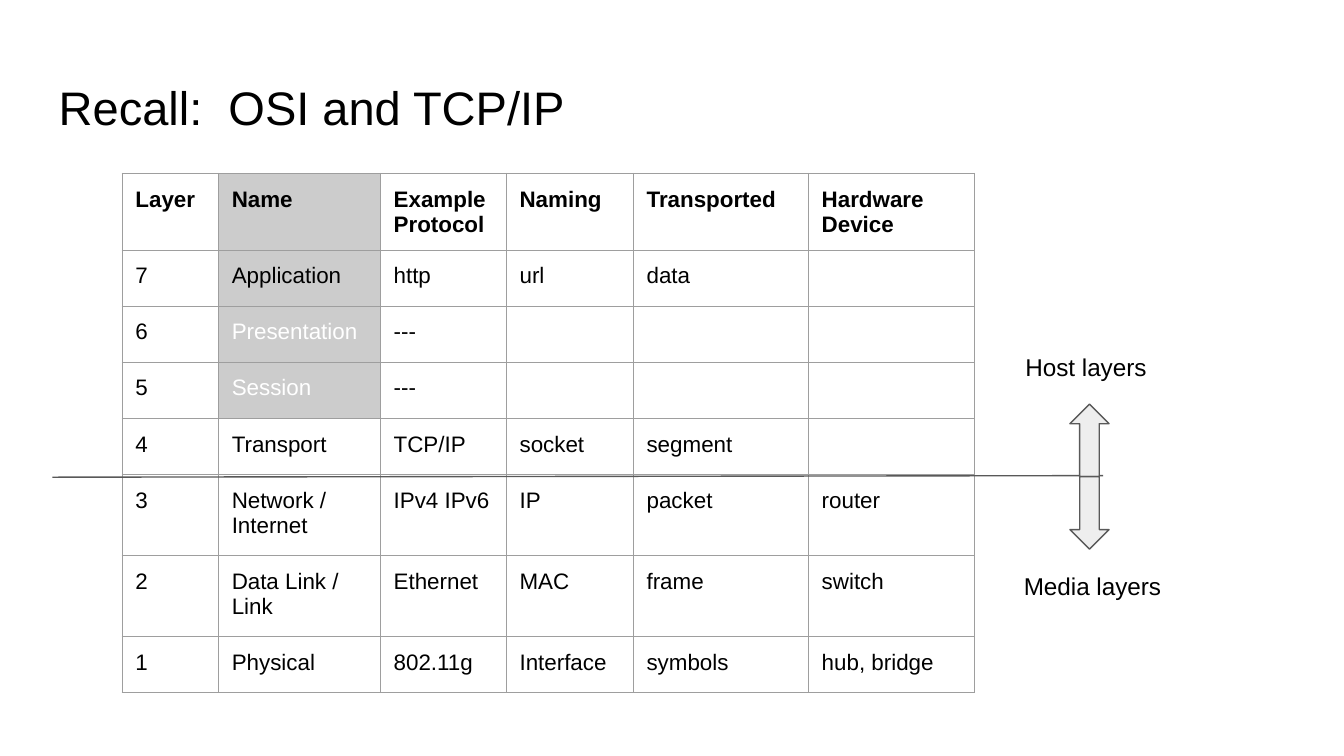
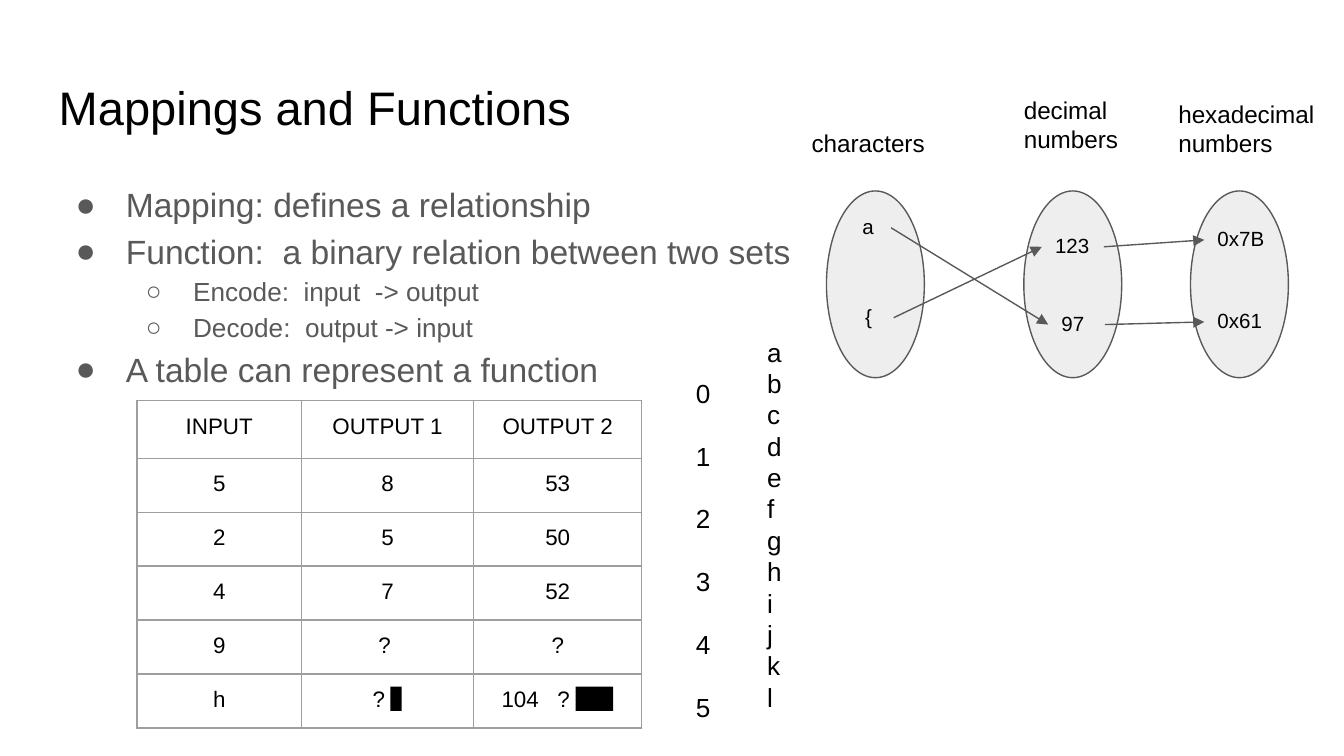
from dataclasses import dataclass
from typing import NamedTuple, Optional

from lxml.etree import SubElement
from pptx import Presentation
from pptx.dml.color import RGBColor
from pptx.enum.shapes import MSO_CONNECTOR, MSO_SHAPE
from pptx.enum.text import MSO_ANCHOR, MSO_AUTO_SIZE, PP_ALIGN
from pptx.oxml.ns import qn
from pptx.util import Cm, Pt

# Colours and shared formats
BLACK = RGBColor(0x00, 0x00, 0x00)
WHITE = RGBColor(0xFF, 0xFF, 0xFF)
DARK_GRAY = RGBColor(0x59, 0x59, 0x59)
BORDER_GRAY = RGBColor(0x9E, 0x9E, 0x9E)
CELL_GRAY = RGBColor(0xCC, 0xCC, 0xCC)
SHAPE_GRAY = RGBColor(0xEE, 0xEE, 0xEE)
FONT = "Arial"
THIN = Pt(0.75)
INSET = Cm(0.25)
MARGINS = {f"margin_{side}": INSET for side in ("left", "top", "right", "bottom")}
FRAME_FORMAT = {"word_wrap": True, "vertical_anchor": MSO_ANCHOR.TOP, **MARGINS}
LEFT_SIDE, RIGHT_SIDE = 1, 3


class Area(NamedTuple):
    """Left, top, width and height in centimetres."""
    left: float
    top: float
    width: float
    height: float

    def lengths(self) -> list:
        return [Cm(value) for value in self]


@dataclass
class Label:
    text: str
    area: Area
    size: float = 13


@dataclass
class Grid:
    left: float
    top: float
    columns: list
    rows: list
    cells: list
    align: PP_ALIGN = PP_ALIGN.LEFT


class Bullet(NamedTuple):
    text: str
    level: int = 0


class BulletStyle(NamedTuple):
    sign: str
    size: float
    margin: float
    indent: float


TITLE_AREA = Area(0.86, 1.24, 23.67, 1.6)
BULLET_STYLES = [BulletStyle("●", 18, 1.27, -0.95), BulletStyle("○", 14, 2.54, -0.89)]


# Shared drawing functions
def set_values(target, values: dict) -> None:
    for name, value in values.items():
        setattr(target, name, value)


def write(para, text: str, size: float, color: RGBColor = BLACK) -> None:
    para.text = text
    for span in para.runs:
        set_values(span.font, {"name": FONT, "size": Pt(size), "bold": False})
        span.font.color.rgb = color


def add_titled_page(deck, title: str):
    page = deck.slides.add_slide(deck.slide_layouts[5])
    box = page.shapes.title
    set_values(box, dict(zip(("left", "top", "width", "height"), TITLE_AREA.lengths())))
    set_values(box.text_frame, {**FRAME_FORMAT, "auto_size": MSO_AUTO_SIZE.NONE})
    para = box.text_frame.paragraphs[0]
    write(para, title, 25.2)
    para.alignment = PP_ALIGN.LEFT
    return page


def add_label(page, label: Label):
    box = page.shapes.add_textbox(*label.area.lengths())
    set_values(box.text_frame, {**FRAME_FORMAT, "auto_size": MSO_AUTO_SIZE.SHAPE_TO_FIT_TEXT})
    write(box.text_frame.paragraphs[0], label.text, label.size)
    return box


def add_plain_shape(page, kind: MSO_SHAPE, area: Area, fill: RGBColor = SHAPE_GRAY,
                    outline: Optional[RGBColor] = DARK_GRAY, rotation: float = 0) -> None:
    shape = page.shapes.add_shape(kind, *area.lengths())
    shape.rotation = rotation
    shape.shadow.inherit = False
    shape.fill.solid()
    shape.fill.fore_color.rgb = fill
    if outline is None:
        shape.line.fill.background()
    else:
        shape.line.color.rgb = outline
        shape.line.width = THIN


def add_line(page, start: tuple = (0, 0), end: tuple = (0, 0)):
    points = [Cm(value) for value in (*start, *end)]
    line = page.shapes.add_connector(MSO_CONNECTOR.STRAIGHT, *points)
    line.line.color.rgb = DARK_GRAY
    line.line.width = THIN
    SubElement(line._element.spPr, qn("a:effectLst"))
    return line


def add_arrow(page, source, target) -> None:
    arrow = add_line(page)
    arrow.begin_connect(source, RIGHT_SIDE)
    arrow.end_connect(target, LEFT_SIDE)
    SubElement(arrow.line._get_or_add_ln(), qn("a:tailEnd"), type="triangle")


def add_bullets(page, area: Area, bullets: list) -> None:
    frame = page.shapes.add_textbox(*area.lengths()).text_frame
    set_values(frame, FRAME_FORMAT)
    for index, bullet in enumerate(bullets):
        para = frame.add_paragraph() if index else frame.paragraphs[0]
        style = BULLET_STYLES[bullet.level]
        write(para, bullet.text, style.size, DARK_GRAY)
        set_values(para, {"level": bullet.level, "line_spacing": 1.15})
        props = para._p.get_or_add_pPr()
        props.set("marL", str(Cm(style.margin)))
        props.set("indent", str(Cm(style.indent)))
        color = SubElement(props, qn("a:buClr"))
        SubElement(color, qn("a:srgbClr"), val=str(DARK_GRAY))
        SubElement(props, qn("a:buFont"), typeface=FONT)
        SubElement(props, qn("a:buChar"), char=style.sign)


def add_borders(cell) -> None:
    props = cell._tc.get_or_add_tcPr()
    for side in ("lnL", "lnR", "lnT", "lnB"):
        border = SubElement(props, qn(f"a:{side}"), w=str(THIN))
        fill = SubElement(border, qn("a:solidFill"))
        SubElement(fill, qn("a:srgbClr"), val=str(BORDER_GRAY))


def fill_cell(cell, text: str, align: PP_ALIGN, size: float = 12) -> None:
    set_values(cell, {**MARGINS, "vertical_anchor": MSO_ANCHOR.TOP})
    add_borders(cell)
    cell.fill.background()
    para = cell.text_frame.paragraphs[0]
    para.alignment = align
    if text:
        write(para, text, size)
    else:
        para._p.get_or_add_endParaRPr().set("sz", str(size * 100))


def add_grid(page, grid: Grid):
    area = Area(grid.left, grid.top, sum(grid.columns), sum(grid.rows))
    table = page.shapes.add_table(len(grid.rows), len(grid.columns), *area.lengths()).table
    set_values(table, {"first_row": False, "horz_banding": False})
    for column, width in zip(table.columns, grid.columns):
        column.width = Cm(width)
    for row, height, texts in zip(table.rows, grid.rows, grid.cells):
        row.height = Cm(height)
        for cell, text in zip(row.cells, texts):
            fill_cell(cell, text, grid.align)
    return table


# Slide 1: the layers
LAYERS = Grid(
    2.31, 3.28,
    columns=[1.82, 3.06, 2.38, 2.4, 3.31, 3.13],
    rows=[1.45, *[1.06] * 4, 1.53, 1.53, 1.06],
    cells=[
        ["Layer", "Name", "Example Protocol", "Naming", "Transported", "Hardware Device"],
        ["7", "Application", "http", "url", "data", ""],
        ["6", "Presentation", "---", "", "", ""],
        ["5", "Session", "---", "", "", ""],
        ["4", "Transport", "TCP/IP", "socket", "segment", ""],
        ["3", "Network / Internet", "IPv4 IPv6", "IP", "packet", "router"],
        ["2", "Data Link / Link", "Ethernet", "MAC", "frame", "switch"],
        ["1", "Physical", "802.11g", "Interface", "symbols", "hub, bridge"],
    ],
)
LAYER_LABELS = [
    Label("Host layers", Area(19.13, 6.4, 2.92, 1.07)),
    Label("Media layers", Area(19.1, 10.54, 3.28, 1.07)),
]


def build_layers_page(deck) -> None:
    page = add_titled_page(deck, "Recall:  OSI and TCP/IP")
    table = add_grid(page, LAYERS)
    for cell in table.rows[0].cells:
        cell.text_frame.paragraphs[0].runs[0].font.bold = True
    for row in range(4):
        fill = table.cell(row, 1).fill
        fill.solid()
        fill.fore_color.rgb = CELL_GRAY
    for row in (2, 3):
        table.cell(row, 1).text_frame.paragraphs[0].runs[0].font.color.rgb = WHITE

    # Divider between host and media layers
    add_line(page, (0.99, 9.02), (20.85, 8.99))
    upward = Area(20.22, 7.64, 0.74, 1.37)
    downward = upward._replace(top=upward.top + upward.height)
    add_plain_shape(page, MSO_SHAPE.UP_ARROW, upward)
    add_plain_shape(page, MSO_SHAPE.UP_ARROW, downward, rotation=180)
    for label in LAYER_LABELS:
        add_label(page, label)


# Slide 2: mappings
BULLETS = [
    Bullet("Mapping: defines a relationship"),
    Bullet("Function:  a binary relation between two sets"),
    Bullet("Encode:  input  -> output", 1),
    Bullet("Decode:  output -> input", 1),
    Bullet("A table can represent a function"),
]
SET_LEFTS = [15.62, 19.35, 22.5]
MEMBERS = [
    Label("a", Area(16.05, 3.81, 0.79, 0.99), 11),
    Label("{", Area(16.1, 5.51, 0.79, 0.99), 11),
    Label("123", Area(19.69, 4.17, 1.17, 0.99), 11),
    Label("97", Area(19.81, 5.64, 1.07, 0.99), 11),
    Label("0x7B", Area(22.76, 4.04, 1.6, 0.99), 11),
    Label("0x61", Area(22.76, 5.59, 1.4, 0.99), 11),
]
MAPPINGS = [("a", "97"), ("{", "123"), ("123", "0x7B"), ("97", "0x61")]
MAPPING_LABELS = [
    Label("characters", Area(15.09, 2.18, 2.79, 1.07)),
    Label("decimal\nnumbers", Area(19.1, 1.55, 2.79, 1.63)),
    Label("hexadecimal\nnumbers", Area(22.02, 1.63, 3.38, 1.63)),
    Label("0 1 2 3 4 5", Area(12.9, 6.88, 0.64, 6.5), 14),
    Label("a b c d e f g h i j k l", Area(14.25, 6.1, 0.79, 7.7), 14),
]
FUNCTION_VALUES = Grid(
    2.59, 7.57,
    columns=[3.11, 3.25, 3.18],
    rows=[1.09, *[1.02] * 5],
    cells=[
        ["INPUT", "OUTPUT 1", "OUTPUT 2"],
        ["5", "8", "53"],
        ["2", "5", "50"],
        ["4", "7", "52"],
        ["9", "? ", "?"],
        ["h", "? ", "104   ? "],
    ],
    align=PP_ALIGN.CENTER,
)
# Black bars in the last row, by column
BARS = {1: Area(7.38, 12.98, 0.21, 0.46), 2: Area(10.88, 12.98, 0.71, 0.46)}


def build_mappings_page(deck) -> None:
    page = add_titled_page(deck, "Mappings and Functions")
    add_bullets(page, Area(0.86, 3.12, 23.67, 9.5), BULLETS)

    # Sets, their members and the arrows between them
    for left in SET_LEFTS:
        add_plain_shape(page, MSO_SHAPE.OVAL, Area(left, 3.61, 1.85, 3.53))
    boxes = {member.text: add_label(page, member) for member in MEMBERS}
    for source, target in MAPPINGS:
        add_arrow(page, boxes[source], boxes[target])

    # Table, with room to the right of the text for each bar
    table = add_grid(page, FUNCTION_VALUES)
    for column, bar in BARS.items():
        table.cell(5, column).margin_right = INSET + Cm(bar.width)
        add_plain_shape(page, MSO_SHAPE.RECTANGLE, bar, BLACK, outline=None)
    for label in MAPPING_LABELS:
        add_label(page, label)


def main() -> None:
    deck = Presentation()
    set_values(deck, {"slide_width": Cm(25.4), "slide_height": Cm(14.29)})
    build_layers_page(deck)
    build_mappings_page(deck)
    deck.save("out.pptx")


if __name__ == "__main__":
    main()
